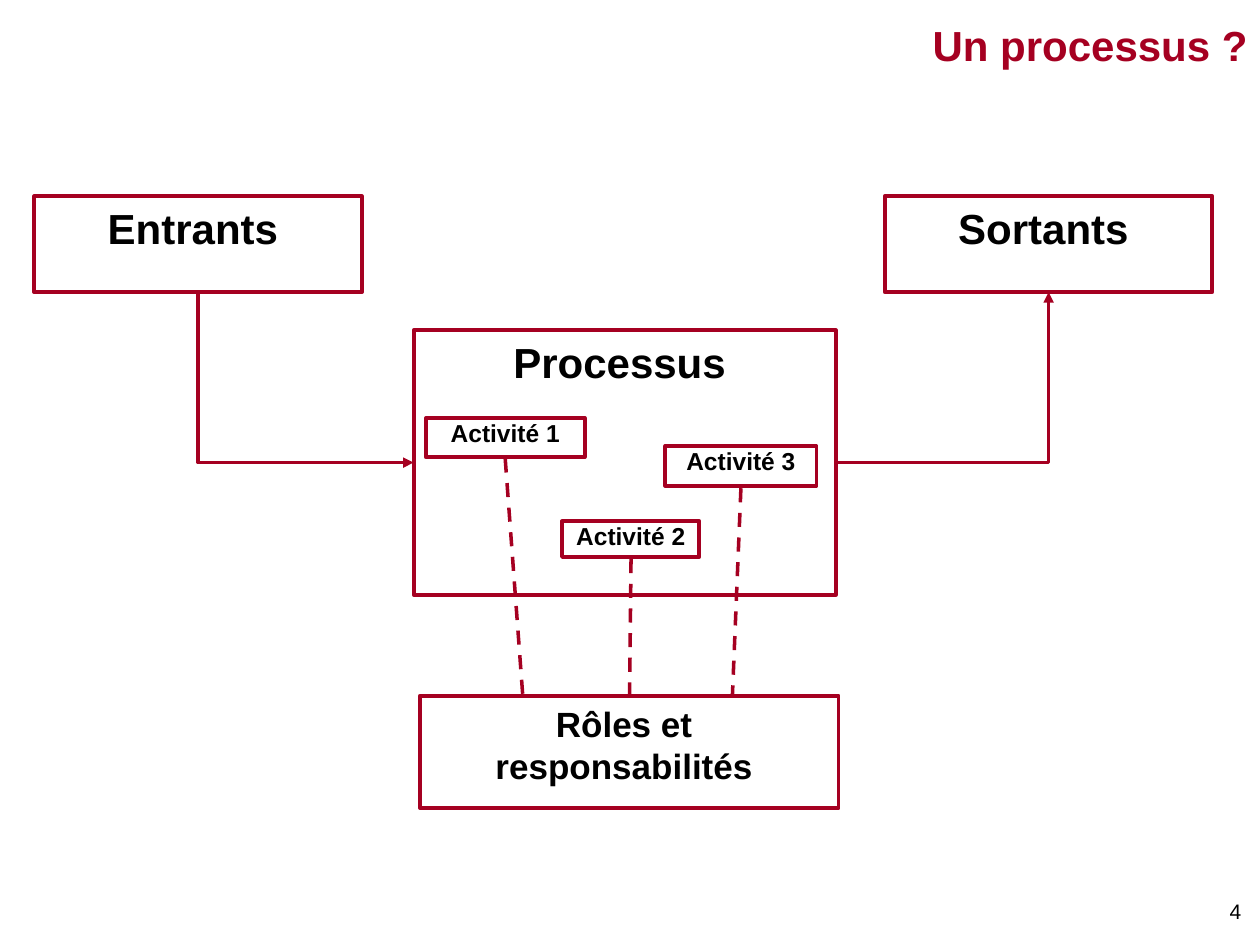
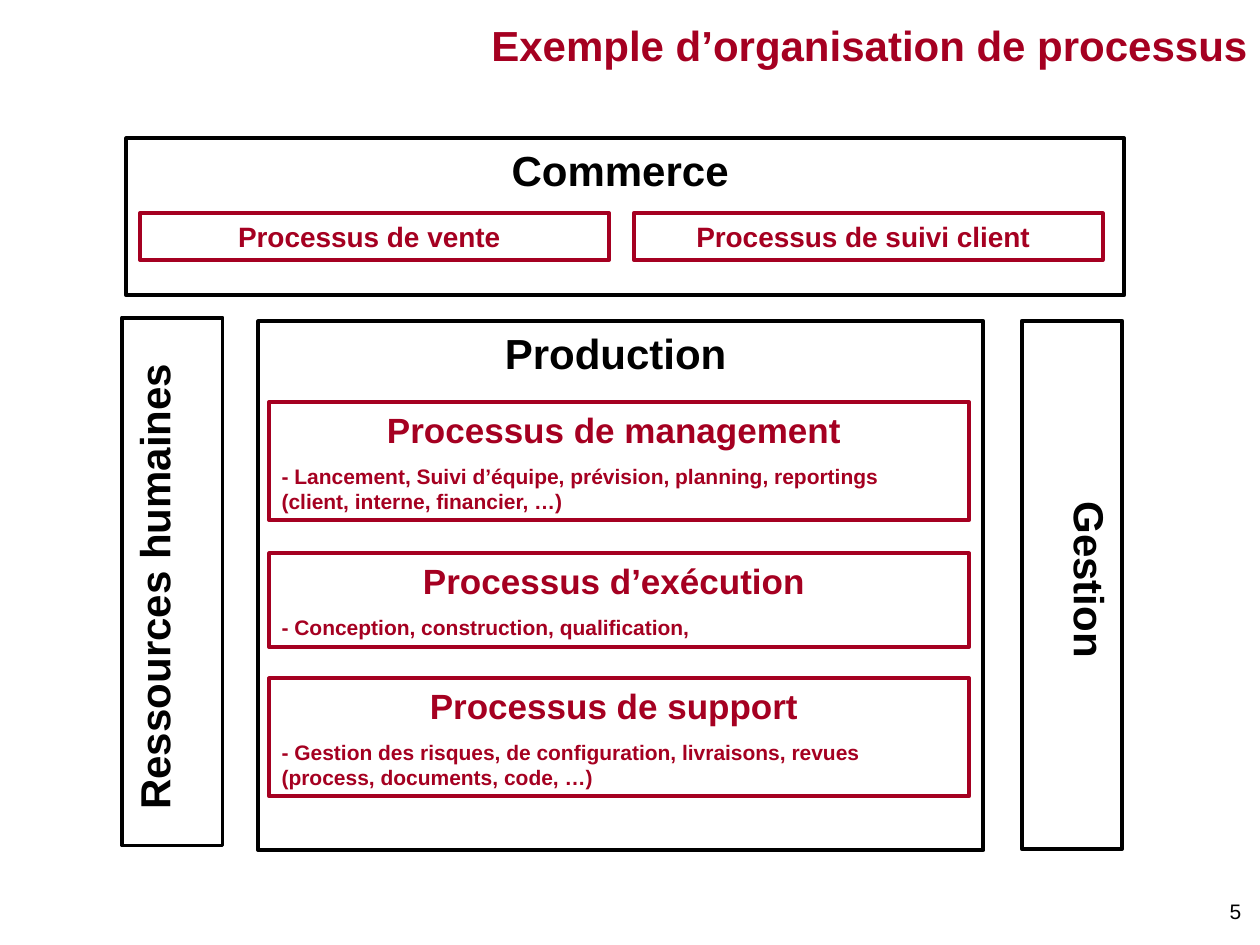
from lxml import etree
from pptx import Presentation
from pptx import util as u
from pptx.dml import color
from pptx.enum import dml, shapes, text
from pptx.oxml import ns

Pt = u.Pt
COLORS = {"accent": "A50021", "ink": "000000"}
FONT = "Arial"
LEFT_SITE, BOTTOM_SITE, RIGHT_SITE = 1, 2, 3


class Deck:
    """Draws the shared style and the elements of the current slide."""

    def __init__(self):
        self.presentation = Presentation()
        self.presentation.slide_width = Pt(720)
        self.presentation.slide_height = Pt(540)
        self.slide = None

    def rgb(self, name):
        return color.RGBColor.from_string(COLORS[name])

    def start_slide(self, title, number):
        self.slide = self.presentation.slides.add_slide(self.presentation.slide_layouts[6])
        self.label(title, (169.2, 0, 550.8, 51), 24, "accent", True)
        self.label(number, (647, 509.8, 69.4, 21.6), 12, "ink", False)

    def fill_paragraph(self, paragraph, words, size, ink, bold, align):
        paragraph.text = words
        paragraph.alignment = align
        paragraph.font.name = FONT
        paragraph.font.size = Pt(size)
        paragraph.font.bold = bold
        paragraph.font.color.rgb = self.rgb(ink)

    def label(self, words, area, size, ink, bold):
        frame = self.slide.shapes.add_textbox(*map(Pt, area)).text_frame
        frame.word_wrap = True
        frame.vertical_anchor = text.MSO_ANCHOR.MIDDLE
        self.fill_paragraph(frame.paragraphs[0], words, size, ink, bold, text.PP_ALIGN.RIGHT)

    def box(self, heading, area, size=24, ink="ink", border="accent",
            margins=(7.2, 3.6, 13, 3.6), detail=None, rotation=0):
        shape = self.slide.shapes.add_shape(shapes.MSO_SHAPE.RECTANGLE, *map(Pt, area))
        shape.shadow.inherit = False
        shape.rotation = rotation
        shape.fill.background()
        shape.line.color.rgb = self.rgb(border)
        shape.line.width = Pt(2.25)
        frame = shape.text_frame
        frame.word_wrap = True
        frame.vertical_anchor = text.MSO_ANCHOR.TOP
        (frame.margin_left, frame.margin_top,
         frame.margin_right, frame.margin_bottom) = map(Pt, margins)
        self.fill_paragraph(frame.paragraphs[0], heading, size, ink, True, text.PP_ALIGN.CENTER)
        if detail:
            paragraph = frame.add_paragraph()
            self.fill_paragraph(paragraph, detail, 12, ink, True, text.PP_ALIGN.LEFT)
            paragraph.space_before = Pt(7.5)
        return shape

    def connector(self, kind, begin=(0, 0), end=(0, 0)):
        line = self.slide.shapes.add_connector(kind, *map(Pt, begin + end))
        line.line.color.rgb = self.rgb("accent")
        line.line.width = Pt(2)
        etree.SubElement(line._element.spPr, ns.qn("a:effectLst"))
        return line

    def dashed_line(self, begin, end):
        line = self.connector(shapes.MSO_CONNECTOR.STRAIGHT, begin, end)
        line.line.dash_style = dml.MSO_LINE.DASH

    def elbow(self, begin, begin_site, end, end_site, arrow):
        line = self.connector(shapes.MSO_CONNECTOR.ELBOW)
        line.begin_connect(begin, begin_site)
        line.end_connect(end, end_site)
        properties = line._element.spPr
        properties.find(ns.qn("a:prstGeom")).set("prst", "bentConnector2")
        outline = properties.find(ns.qn("a:ln"))
        etree.SubElement(outline, ns.qn(arrow), type="triangle")


def draw_process(deck):
    deck.start_slide("Un processus ?", "4")
    process = deck.box("Processus", (236.4, 188.8, 241.2, 151.2))
    for heading, area in (
        ("Activité 1", (243.4, 238.9, 90.7, 22.4)),
        ("Activité 2", (321.2, 297.9, 78.5, 20.4)),
        ("Activité 3", (380.2, 254.9, 86.4, 22.8)),
    ):
        deck.box(heading, area, 14, margins=(0, 0, 0, 0))
    inputs, outputs = (deck.box(heading, (left, 112.2, 187.2, 54.8))
                       for heading, left in (("Entrants", 19.6), ("Sortants", 505.6)))
    deck.elbow(process, RIGHT_SITE, outputs, BOTTOM_SITE, "a:tailEnd")
    deck.elbow(process, LEFT_SITE, inputs, BOTTOM_SITE, "a:headEnd")
    for begin, end in (
        ((288.7, 262), (298.8, 398.5)),
        ((360.6, 319.5), (359.8, 397)),
        ((423.4, 279), (418.5, 398.5)),
    ):
        deck.dashed_line(begin, end)
    deck.box("Rôles et responsabilités", (240, 397.6, 239.2, 64.2), 20)


def draw_organisation(deck):
    deck.start_slide("Exemple d’organisation de processus", "5")
    for heading, area, rotation in (
        ("Commerce", (72.2, 79, 570.2, 89.8), 0),
        ("Production", (147.6, 183.6, 414.4, 302.2), 0),
        ("Gestion", (461.7, 305.5, 301.7, 57.4), 90),
        ("Ressources humaines", (-52.4, 303.6, 301.7, 57.4), 270),
    ):
        deck.box(heading, area, border="ink", rotation=rotation)
    for heading, left in (("Processus de vente", 80), ("Processus de suivi client", 362.2)):
        deck.box(heading, (left, 121.8, 268, 26.8), 16, "accent")
    for heading, detail, top, height in (
        ("Processus de management",
         "- Lancement, Suivi d’équipe, prévision, planning, reportings "
         "(client, interne, financier, …)", 229.8, 67.4),
        ("Processus d’exécution",
         "- Conception, construction, qualification,", 316.2, 53.5),
        ("Processus de support",
         "- Gestion des risques, de configuration, livraisons, revues "
         "(process, documents, code, …)", 387.6, 67.4),
    ):
        deck.box(heading, (153.8, top, 400, height), 20, "accent", detail=detail)


def main():
    deck = Deck()
    draw_process(deck)
    draw_organisation(deck)
    deck.presentation.save("out.pptx")


if __name__ == "__main__":
    main()
